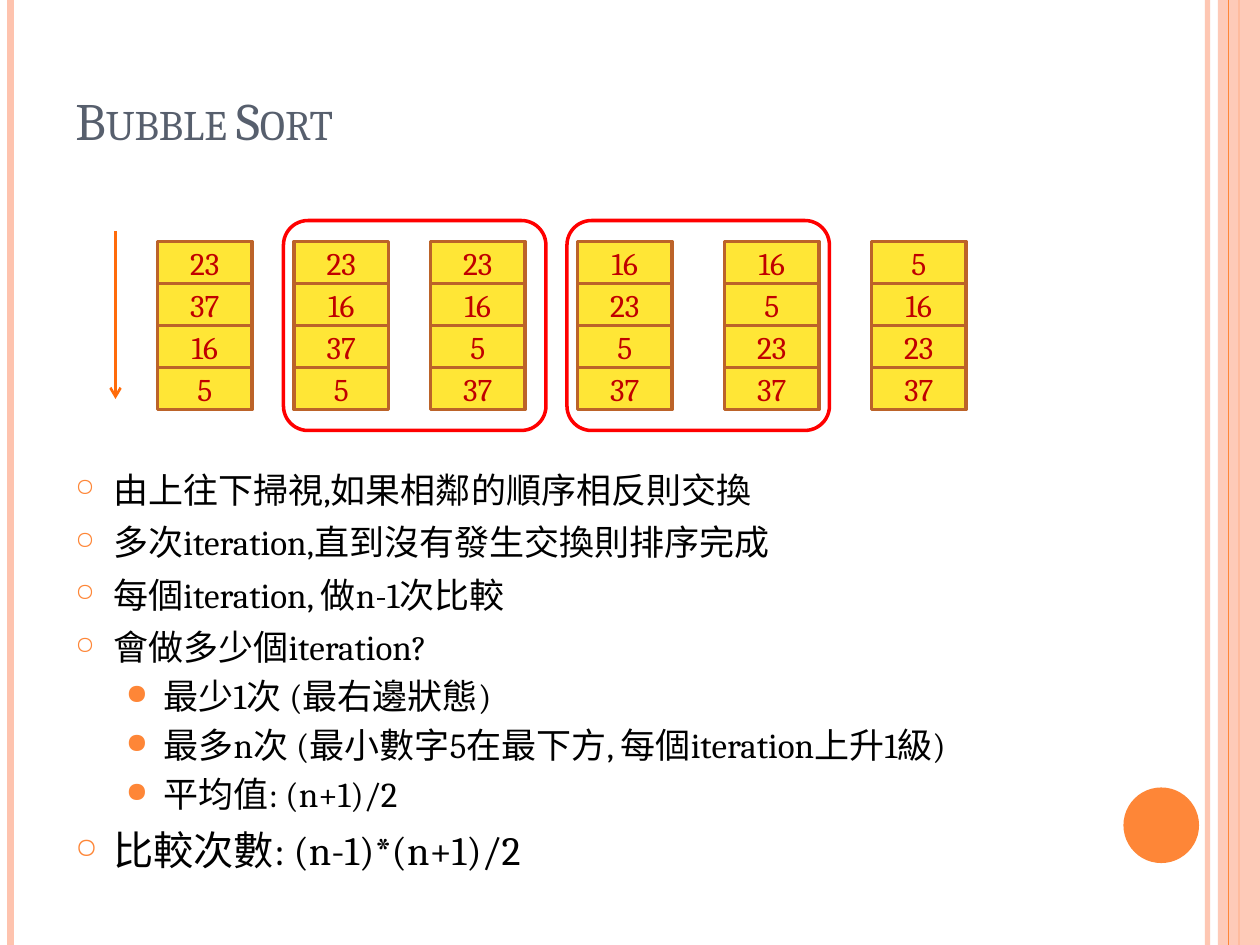
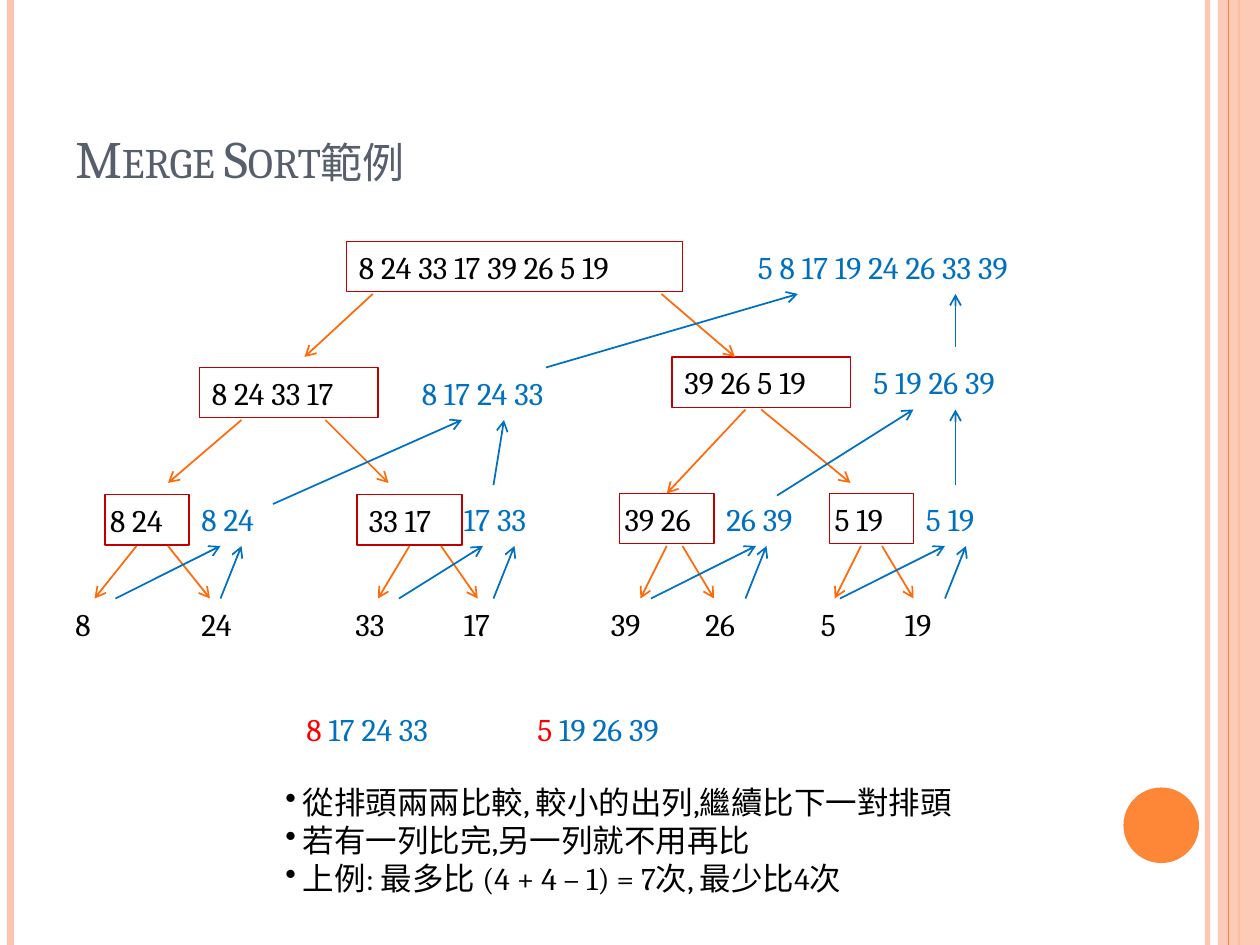
from collections import namedtuple

from lxml.etree import SubElement
from pptx import Presentation
from pptx.dml.color import RGBColor
from pptx.enum.shapes import MSO_CONNECTOR as Connector, MSO_SHAPE as Preset
from pptx.enum.text import MSO_ANCHOR as Anchor, MSO_AUTO_SIZE as AutoSize, PP_ALIGN as Align
from pptx.oxml.ns import qn
from pptx.util import Inches, Pt

COLS, ROWS = 120, 90
UNIT = Inches(10) // COLS
FONT = "Cambria"
BLACK = RGBColor(0x00, 0x00, 0x00)
SLATE = RGBColor(0x57, 0x5F, 0x6D)
PEACH = RGBColor(0xFE, 0xC3, 0xAE)
ORANGE = RGBColor(0xFE, 0x86, 0x37)
DEEP_ORANGE = RGBColor(0xFF, 0x6B, 0x0A)
YELLOW = RGBColor(0xFF, 0xE6, 0x36)
BROWN = RGBColor(0xBC, 0x63, 0x29)
CRIMSON = RGBColor(0xC0, 0x00, 0x00)
RED = RGBColor(0xFF, 0x00, 0x00)
BLUE = RGBColor(0x00, 0x70, 0xC0)

Box = namedtuple("Box", "col row cols rows")
Bullet = namedtuple("Bullet", "char percent left hang before")
TOPIC = Bullet("○", 70, 0.3, 0.3, 6)
DETAIL = Bullet("●", 80, 0.7, 0.3, 4)
NOTE = Bullet("•", 100, 0.14, 0.14, 0)


def within(box, col, row, cols, rows):
    """Return a box placed relative to the corner of another."""
    return Box(box.col + col, box.row + row, cols, rows)


def emu(box):
    """Turn grid columns and rows into slide lengths."""
    return [int(length * UNIT) for length in box]


def set_alpha(fill_parent, percent):
    """Make the solid colour below an element partly transparent."""
    color = next(fill_parent.iter(qn("a:srgbClr")))
    SubElement(color, qn("a:alpha")).set("val", str(percent * 1000))


def add_line(slide, box, start, end, color, width, arrow=False):
    """Draw a line between two grid points of a box."""
    ends = [int(n * UNIT) for x, y in (start, end) for n in (box.col + x, box.row + y)]
    line = slide.shapes.add_connector(Connector.STRAIGHT, *ends)
    line.line.color.rgb = color
    line.line.width = Pt(width)
    properties = line._element.spPr
    if arrow:
        SubElement(properties.find(qn("a:ln")), qn("a:tailEnd")).set("type", "arrow")
    SubElement(properties, qn("a:effectLst"))
    return line


def add_panel(slide, preset, box, fill=None, outline=None, width=1):
    """Draw a preset shape with an optional fill and outline."""
    panel = slide.shapes.add_shape(preset, *emu(box))
    panel.shadow.inherit = False
    if fill is None:
        panel.fill.background()
    else:
        panel.fill.solid()
        panel.fill.fore_color.rgb = fill
    if outline is None:
        panel.line.fill.background()
    else:
        panel.line.color.rgb = outline
        panel.line.width = Pt(width)
    return panel


def add_run(paragraph, text, size, color):
    """Append one run of text."""
    run = paragraph.add_run()
    run.text = text
    run.font.name = FONT
    run.font.size = Pt(size)
    run.font.color.rgb = color
    return run


def add_text(slide, box):
    """Add an empty wrapping text box and return its frame."""
    frame = slide.shapes.add_textbox(*emu(box)).text_frame
    frame.word_wrap = True
    return frame


def add_bullets(frame, items, bullet_color):
    """Fill a frame with bulleted (style, size, text) items."""
    for index, (style, size, text) in enumerate(items):
        paragraph = frame.add_paragraph() if index else frame.paragraphs[0]
        paragraph.space_before = Pt(style.before)
        props = paragraph._p.get_or_add_pPr()
        props.set("marL", str(Inches(style.left)))
        props.set("indent", str(-Inches(style.hang)))
        color = SubElement(props, qn("a:buClr"))
        SubElement(color, qn("a:srgbClr")).set("val", str(bullet_color))
        SubElement(props, qn("a:buSzPct")).set("val", str(style.percent * 1000))
        SubElement(props, qn("a:buChar")).set("char", style.char)
        add_run(paragraph, text, size, BLACK)


def add_frame(slide, box):
    """Draw the edge bands and the disc shared by the slides."""
    def stripe(col, color, width):
        return add_line(slide, box, (col, 0), (col, box.rows), color, width)

    inner = stripe(box.cols - 5, PEACH, 3)
    set_alpha(inner._element.spPr, 93)
    stripe(1, PEACH, 4.5)
    stripe(box.cols - 2, ORANGE, 1.5)
    band = add_panel(slide, Preset.RECTANGLE, within(box, box.cols - 4, 0, 4, box.rows), PEACH)
    set_alpha(band._element.spPr, 87)
    stripe(box.cols - 3, ORANGE, 0.75)
    add_panel(slide, Preset.OVAL, within(box, box.cols - 13, box.rows - 15, 7.2, 7.2), ORANGE)


def add_title(slide, box, text):
    """Write the small-caps title at the bottom of its box."""
    frame = add_text(slide, box)
    frame.vertical_anchor = Anchor.BOTTOM
    run = add_run(frame.paragraphs[0], text, 30, SLATE)
    run.font._element.set("cap", "small")


def add_sort_passes(slide, box):
    """Draw the scan arrow, the states of the list and the pass outlines."""
    states = {4: (23, 37, 16, 5), 17: (23, 16, 37, 5), 30: (23, 16, 5, 37),
              44: (16, 23, 5, 37), 58: (16, 5, 23, 37), 72: (5, 16, 23, 37)}
    for col, numbers in states.items():
        for index, number in enumerate(numbers):
            cell = add_panel(slide, Preset.RECTANGLE, within(box, col, 2 + 4 * index, 9, 4),
                             YELLOW, BROWN, 2)
            cell.text_frame.vertical_anchor = Anchor.MIDDLE
            paragraph = cell.text_frame.paragraphs[0]
            paragraph.alignment = Align.CENTER
            add_run(paragraph, str(number), 18, CRIMSON)
    for col in (16, 43):
        outline = add_panel(slide, Preset.ROUNDED_RECTANGLE,
                            within(box, col, 0, 25, box.rows), None, RED, 2)
        outline.adjustments[0] = 0.117
    add_line(slide, box, (0, 1), (0, 17), DEEP_ORANGE, 1.5, True)


def add_list(slide, box, parts, framed=False, margin=0.1):
    """Write a number list made of (text, colour) parts, framed on request."""
    if framed:
        panel = add_panel(slide, Preset.RECTANGLE, box, None, CRIMSON, 0.75)
        frame = panel.text_frame
        frame.word_wrap = True
        frame.vertical_anchor = Anchor.TOP
        frame.paragraphs[0].alignment = Align.LEFT
    else:
        frame = add_text(slide, box)
    frame.auto_size = AutoSize.SHAPE_TO_FIT_TEXT
    frame.margin_left = frame.margin_right = Inches(margin)
    for text, color in parts:
        add_run(frame.paragraphs[0], text, 18, color)


def add_merge_tree(slide, box):
    """Draw the split lists, the single numbers, the merged lists and arrows."""
    height = 4.8
    split_lists = [
        (27, 0, 32, "8 24 33 17 39 26 5 19"),
        (13, 12, 17, "8 24 33 17"), (58, 11, 17, "39 26 5 19"),
        (4, 24.1, 8, "8 24"), (28, 24.1, 10, " 33 17"),
        (53, 24, 9, "39 26"), (73, 24, 8, "5 19")]
    singles = [(0, 10, "8"), (12, 10, "24"), (26, 8, " 33"), (37, 7, "17"),
               (51, 10, "39"), (60, 7, "26"), (71, 5, "5"), (79, 8, "19")]
    merged_lists = [
        (12, 24, 10, "8 24"), (37, 24, 10, "17 33"),
        (62, 24, 10, "26 39"), (81, 24, 10, "5 19"),
        (33, 12, 17, "8 17 24 33"), (76, 11, 18, "5 19 26 39"),
        (65, 0, 35, "5 8 17 19 24 26 33 39")]
    for col, row, cols, text in split_lists:
        margin = 0.04 if row >= 24 else 0.1
        add_list(slide, within(box, col, row, cols, height), [(text, BLACK)], True, margin)
    for col, cols, text in singles:
        add_list(slide, within(box, col, 34, cols, height), [(text, BLACK)])
    for col, row, cols, text in merged_lists:
        add_list(slide, within(box, col, row, cols, height), [(text, BLUE)])

    splits = [((29.5, 5), (23, 11)), ((57, 5), (64, 11)),
              ((17, 17), (10, 23)), ((25, 17), (31, 23)),
              ((65, 16), (57.5, 24)), ((66.5, 16), (75, 23))]
    merges = [((20, 25), (38, 17)), ((41, 23.2), (42, 17)),
              ((68, 24.2), (81, 16)), ((85, 23.2), (85, 16)),
              ((85, 10), (85, 5)), ((46, 12), (70, 5))]
    last_splits = [(7, 3), (10, 14), (33, 30), (36, 39.5),
                   (57.5, 55), (59, 62), (76, 73.5), (78, 81)]
    first_merges = [(5, 15), (15, 17), (32, 40), (41, 43),
                    (56, 66), (65, 67), (74, 84), (84, 86)]
    splits += [((start, 29), (end, 34)) for start, end in last_splits]
    merges += [((start, 34), (end, 29)) for start, end in first_merges]
    for arrows, color in ((splits, DEEP_ORANGE), (merges, BLUE)):
        for start, end in arrows:
            add_line(slide, box, start, end, color, 1, True)


def add_merge_rule(slide, box):
    """Show the two list heads being compared and the notes below."""
    heads = [(2, 17, "8", " 17 24 33"), (24, 18, "5", " 19 26 39")]
    for col, cols, head, rest in heads:
        add_list(slide, within(box, col, 0, cols, 4.8), [(head, RED), (rest, BLUE)])
    notes = ["從排頭兩兩比較, 較小的出列,繼續比下一對排頭",
             "若有一列比完,另一列就不用再比",
             "上例: 最多比 (4 + 4 – 1) = 7次, 最少比4次"]
    frame = add_text(slide, within(box, 0, 7, box.cols, 12.1))
    add_bullets(frame, [(NOTE, 18, note) for note in notes], BLACK)


def add_bubble_slide(deck, page):
    """Build the slide about bubble sort."""
    slide = deck.slides.add_slide(deck.slide_layouts[6])
    add_frame(slide, page)
    add_title(slide, within(page, 6, 3.6, 98, 11.4), "Bubble Sort")
    add_sort_passes(slide, within(page, 11, 21, 81, 20))
    points = [
        (TOPIC, 20, "由上往下掃視,如果相鄰的順序相反則交換"),
        (TOPIC, 20, "多次iteration,直到沒有發生交換則排序完成"),
        (TOPIC, 20, "每個iteration, 做n-1次比較"),
        (TOPIC, 20, "會做多少個iteration?"),
        (DETAIL, 20, "最少1次 (最右邊狀態)"),
        (DETAIL, 20, "最多n次 (最小數字5在最下方, 每個iteration上升1級)"),
        (DETAIL, 20, "平均值: (n+1)/2"),
        (TOPIC, 23, "比較次數: (n-1)*(n+1)/2")]
    add_bullets(add_text(slide, within(page, 6, 44, 98, 41)), points, ORANGE)


def add_merge_slide(deck, page):
    """Build the slide about merge sort."""
    slide = deck.slides.add_slide(deck.slide_layouts[6])
    add_frame(slide, page)
    add_title(slide, within(page, 6, 3.6, 98, 15), "Merge Sort範例")
    add_merge_tree(slide, within(page, 6, 23, 100, 39))
    add_merge_rule(slide, within(page, 26, 67, 72, 19))


def main():
    """Build and save the deck."""
    deck = Presentation()
    deck.slide_width, deck.slide_height = COLS * UNIT, ROWS * UNIT
    page = Box(0, 0, COLS, ROWS)
    add_bubble_slide(deck, page)
    add_merge_slide(deck, page)
    deck.save("out.pptx")


main()
